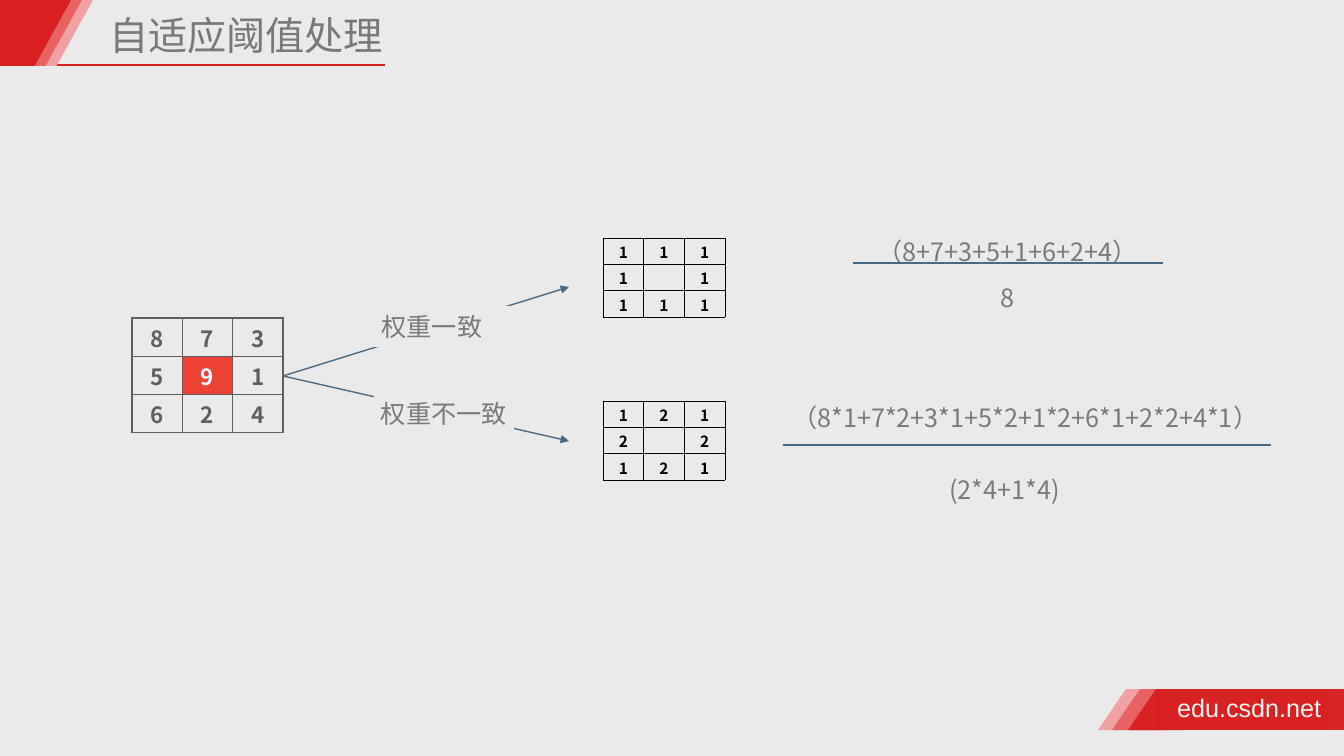
import pptx
import pptx.util
import pptx.dml.color
import pptx.enum.shapes
import pptx.enum.text
import pptx.oxml.ns
import lxml.etree

SHAPE = pptx.enum.shapes.MSO_SHAPE
ALIGN = pptx.enum.text.PP_ALIGN
ANCHOR = pptx.enum.text.MSO_ANCHOR
FIT = pptx.enum.text.MSO_AUTO_SIZE
WIDE, HIGH = 1344, 756
RED, ROSE, PINK = "D82020", "E86262", "F1A1A1"
BACK, GREY, DARK, BLUE = "EAEAEA", "797979", "5F5F5F", "4A6982"


def px(num):
    return pptx.util.Emu(round(num * 914400 / 100.8))


def color(code):
    return pptx.dml.color.RGBColor.from_string(code)


def add(node, tag, **attrs):
    return lxml.etree.SubElement(node, pptx.oxml.ns.qn(tag), **attrs)


class Deck:
    """Draws styled elements on the current slide."""

    def __init__(self, face):
        self.face = face
        self.show = pptx.Presentation()
        self.show.slide_width, self.show.slide_height = px(WIDE), px(HIGH)
        self.slide = self.show.slides.add_slide(self.show.slide_layouts[5])
        self.slide.background.fill.solid()
        self.slide.background.fill.fore_color.rgb = color(BACK)

    def style(self, para, size, code, bold=False, align=ALIGN.CENTER, face=None):
        para.alignment = align
        font = para.font
        font.size, font.bold = pptx.util.Pt(size), bold
        font.name = face or self.face
        font.color.rgb = color(code)
        add(para._p.pPr[-1], "a:ea", typeface=font.name)

    def words(self, shape, text, size=18, code=GREY, space=None, wrap=True, **look):
        frame = shape.text_frame
        frame.margin_left = frame.margin_right = px(5)
        frame.margin_top = frame.margin_bottom = px(5)
        frame.vertical_anchor = ANCHOR.TOP
        frame.word_wrap = wrap
        frame.auto_size = FIT.SHAPE_TO_FIT_TEXT
        frame.text = text
        para = frame.paragraphs[0]
        if space:
            para.line_spacing = space
        self.style(para, size, code, **look)

    def title(self, text, x, y, w, h):
        shape = self.slide.shapes.title
        shape.left, shape.top, shape.width, shape.height = map(px, (x, y, w, h))
        self.words(shape, text, size=28, space=0.9, align=ALIGN.LEFT)

    def text(self, text, x, y, w, h, **look):
        box = self.slide.shapes.add_textbox(px(x), px(y), px(w), px(h))
        self.words(box, text, **look)

    def shape(self, kind, x, y, w, h, code, turn=0, alpha=None):
        shape = self.slide.shapes.add_shape(kind, px(x), px(y), px(w), px(h))
        shape.shadow.inherit = False
        shape.fill.solid()
        shape.fill.fore_color.rgb = color(code)
        shape.line.fill.background()
        shape.rotation = turn
        if alpha:
            tint = shape._element.spPr.find(".//" + pptx.oxml.ns.qn("a:srgbClr"))
            add(tint, "a:alpha", val=str(alpha * 1000))
        return shape

    def label(self, text, x, y, w, h):
        self.words(self.shape(SHAPE.RECTANGLE, x, y, w, h, BACK), text)

    def line(self, x, y, x2, y2, code=BLUE, arrow=False):
        kind = pptx.enum.shapes.MSO_CONNECTOR.STRAIGHT
        line = self.slide.shapes.add_connector(kind, px(x), px(y), px(x2), px(y2))
        line.line.color.rgb = color(code)
        line.line.width = pptx.util.Pt(1)
        props = line._element.spPr
        if arrow:
            add(props.find(pptx.oxml.ns.qn("a:ln")), "a:tailEnd", type="triangle")
        add(props, "a:effectLst")

    def border(self, cell, code, width):
        props = cell._tc.get_or_add_tcPr()
        for side in "LRTB":
            edge = add(props, "a:ln" + side, w=str(pptx.util.Pt(width)))
            add(add(edge, "a:solidFill"), "a:srgbClr", val=code)

    def grid(self, rows, x, y, w, h, size, code, edge, mark=None):
        count = len(rows)
        frame = self.slide.shapes.add_table(count, count, px(x), px(y), px(w), px(h))
        table = frame.table
        table.first_row = table.horz_banding = False
        for r, row in enumerate(rows):
            for c, digit in enumerate(row):
                cell = table.cell(r, c)
                cell.margin_left = cell.margin_right = cell.margin_top = px(1)
                cell.margin_bottom = 0
                cell.vertical_anchor = ANCHOR.MIDDLE
                cell.text = digit.strip()
                self.border(cell, code, edge)
                main = (r, c) == mark
                if main:
                    cell.fill.solid()
                    cell.fill.fore_color.rgb = color("EA4335")
                else:
                    cell.fill.background()
                ink = "FFFFFF" if main else code
                self.style(cell.text_frame.paragraphs[0], size, ink, bold=True)


def main():
    deck = Deck("Noto Sans CJK SC")
    deck.line(49, 65, 385, 65, RED)
    for x, code, alpha in (1126, PINK, None), (1140, ROSE, None), (1156, RED, 97):
        deck.shape(SHAPE.RECTANGLE, x, 689, 190, 41, code, alpha=alpha)
        deck.shape(SHAPE.ISOSCELES_TRIANGLE, x - 28, 689, 56, 41, code, alpha=alpha)
    deck.text("edu.csdn.net", 1172, 687, 156, 40, code="F2F2F2", wrap=False,
              align=ALIGN.LEFT, face="Arial")
    for x, code in (21, PINK), (10, ROSE), (-1, RED):
        deck.shape(SHAPE.RECTANGLE, x, 0, 35, 66, code)
        deck.shape(SHAPE.ISOSCELES_TRIANGLE, x - 1, 0, 73, 66, code, turn=180)
    deck.title("自适应阈值处理", 104, 12, 439, 53)

    deck.grid(["873", "591", "624"], 132, 318, 151, 115, 16, DARK, 1, mark=(1, 1))
    for y in 287, 441:
        deck.line(283, 376, 569, y, arrow=True)
    for y, rows in (238, ["111", "1 1", "111"]), (401, ["121", "2 2", "121"]):
        deck.grid(rows, 603, y, 122, 79, 11, "000000", 0.5)

    deck.text("（8+7+3+5+1+6+2+4）", 794, 216, 427, 56, space=1.5)
    deck.line(853, 263, 1163, 263)
    deck.text("8", 861, 262, 293, 56, space=1.5)
    deck.text("（8*1+7*2+3*1+5*2+1*2+6*1+2*2+4*1）", 722, 382, 607, 56, space=1.5)
    deck.line(783, 445, 1271, 445)
    deck.text("(2*4+1*4)", 858, 454, 293, 56, space=1.5)

    deck.label("权重一致", 347, 306, 170, 41)
    deck.label("权重不一致", 374, 393, 140, 41)
    deck.show.save("out.pptx")


if __name__ == "__main__":
    main()
